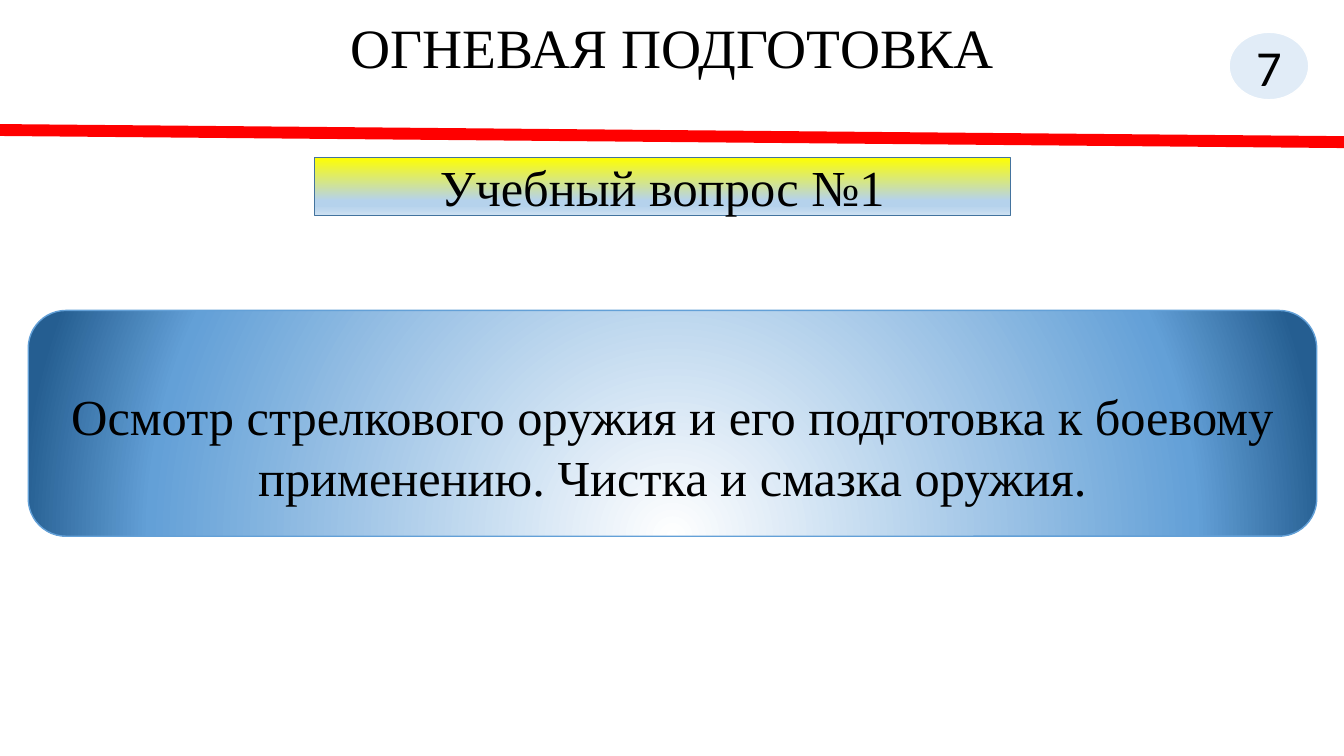
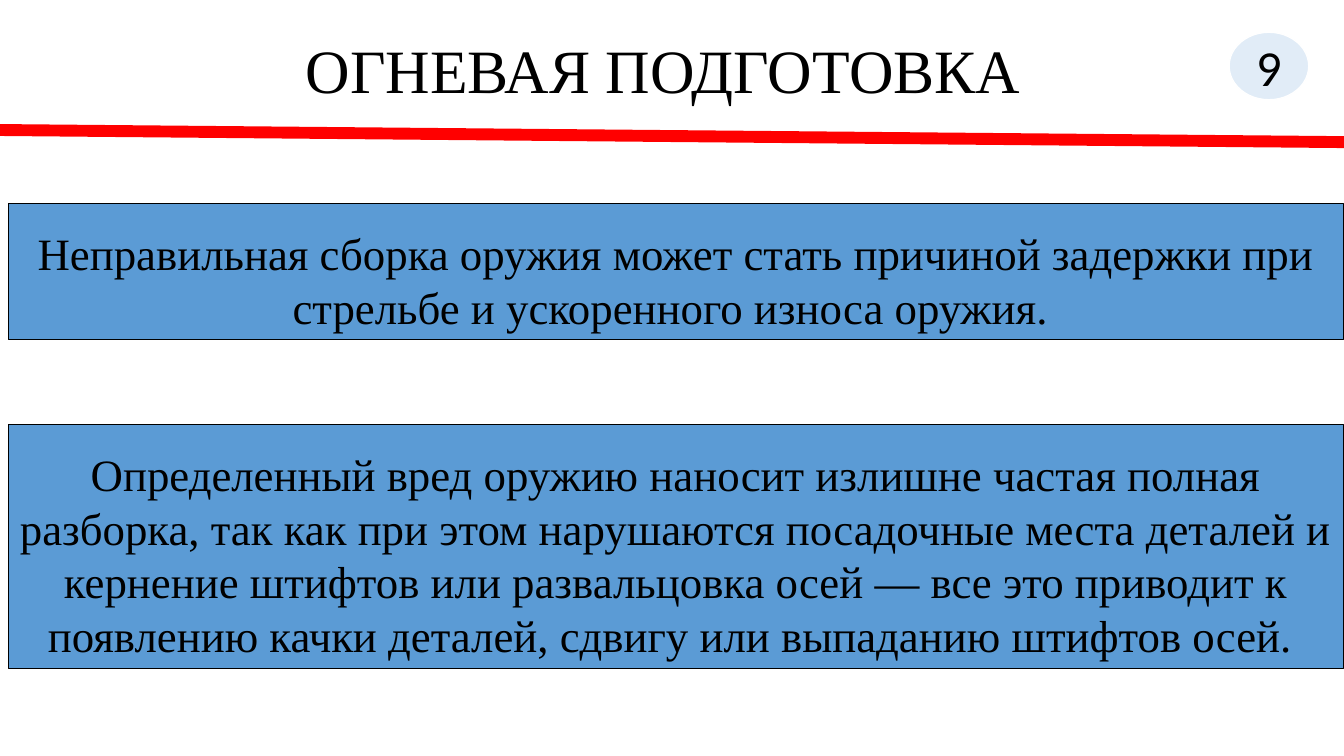
from lxml import etree
from pptx import Presentation
from pptx.dml.color import RGBColor
from pptx.enum.shapes import MSO_CONNECTOR, MSO_SHAPE
from pptx.enum.text import MSO_ANCHOR, MSO_AUTO_SIZE, PP_ALIGN
from pptx.oxml.ns import qn
from pptx.util import Inches, Pt

BLACK = RGBColor(0x00, 0x00, 0x00)
WHITE = RGBColor(0xFF, 0xFF, 0xFF)
RED = RGBColor(0xFF, 0x00, 0x00)
BLUE = RGBColor(0x5B, 0x9B, 0xD5)
STEEL = RGBColor(0x43, 0x73, 0x9E)
SKY = RGBColor(0x63, 0xA0, 0xD7)
PALE = RGBColor(0xB5, 0xD2, 0xEC)
MIST = RGBColor(0xCE, 0xE1, 0xF2)
NAVY = RGBColor(0x25, 0x5E, 0x91)
YELLOW = RGBColor(0xFF, 0xFF, 0x00)
SERIF, SANS = "Times New Roman", "Calibri"

TITLE = "ОГНЕВАЯ ПОДГОТОВКА"
TOPIC = "Учебный вопрос №1"
TASK = ("Осмотр стрелкового оружия и его подготовка к боевому применению. "
        "Чистка и смазка оружия.")
# top, height, text
NOTES = [
    (2.02, 1.35, "Неправильная сборка оружия может стать причиной задержки "
                 "при стрельбе и ускоренного износа оружия. "),
    (4.21, 2.42, "Определенный вред оружию наносит излишне частая полная "
                 "разборка, так как при этом нарушаются посадочные места "
                 "деталей и кернение штифтов или развальцовка осей — все это "
                 "приводит к появлению качки деталей, сдвигу или выпаданию "
                 "штифтов осей. "),
]
BANNER = [(0, YELLOW), (74, PALE), (83, PALE), (100, MIST)]
GLOW = [(0, WHITE), (80, SKY), (100, NAVY)]


def write(frame, text, size, font=SERIF, top=0.05, anchor=MSO_ANCHOR.MIDDLE):
    frame.text = text
    frame.word_wrap = True
    frame.auto_size = MSO_AUTO_SIZE.NONE
    frame.vertical_anchor = anchor
    frame.margin_top = Inches(top)
    para = frame.paragraphs[0]
    para.alignment = PP_ALIGN.CENTER
    for run in para.runs:
        run.font.size = Pt(size)
        run.font.name = font
        run.font.color.rgb = BLACK


def add_box(slide, kind, place, fill, edge, width=1):
    box = slide.shapes.add_shape(kind, *map(Inches, place))
    box.shadow.inherit = False
    box.fill.solid()
    box.fill.fore_color.rgb = fill
    box.line.color.rgb = edge
    box.line.width = Pt(width)
    return box


def shade(box, stops, kind, rect=None, **attrs):
    """Give the box a gradient; kind is 'lin' or 'path'."""
    box.fill.gradient()
    grad = box.element.spPr.find(qn("a:gradFill"))
    for part in list(grad):
        grad.remove(part)
    rows = etree.SubElement(grad, qn("a:gsLst"))
    for pos, color in stops:
        stop = etree.SubElement(rows, qn("a:gs"), pos=str(pos * 1000))
        etree.SubElement(stop, qn("a:srgbClr"), val=str(color))
    shape = etree.SubElement(grad, qn(f"a:{kind}"), **attrs)
    if rect:
        sides = {side: str(pct * 1000) for side, pct in zip("ltrb", rect)}
        etree.SubElement(shape, qn("a:fillToRect"), **sides)


def add_slide(deck, number, left, height, size):
    """Add a slide with the shared title, red rule and number badge."""
    slide = deck.slides.add_slide(deck.slide_layouts[5])
    title = slide.shapes.title
    title.left, title.top = Inches(left), Inches(0)
    title.width, title.height = Inches(11.5), Inches(height)
    write(title.text_frame, TITLE, size)
    title.text_frame.paragraphs[0].line_spacing = 0.9

    rule = slide.shapes.add_connector(
        MSO_CONNECTOR.STRAIGHT, 0, Inches(1.29), deck.slide_width, Inches(1.41))
    rule.line.color.rgb = RED
    rule.line.width = Pt(8.5)
    etree.SubElement(rule.element.spPr, qn("a:effectLst"))

    badge = add_box(slide, MSO_SHAPE.OVAL, (12.19, 0.32, 0.79, 0.67), BLUE, WHITE)
    tint = badge.element.spPr.find(qn("a:solidFill"))[0]
    etree.SubElement(tint, qn("a:alpha"), val="18000")
    write(badge.text_frame, number, 36, SANS)
    return slide


def main():
    deck = Presentation()
    deck.slide_width, deck.slide_height = Inches(13.33), Inches(7.5)

    slide = add_slide(deck, "7", 0.92, 1.01, 39.6)
    topic = add_box(slide, MSO_SHAPE.RECTANGLE, (3.12, 1.56, 6.9, 0.58), PALE, STEEL)
    shade(topic, BANNER, "lin", ang="5400000", scaled="0")
    write(topic.text_frame, TOPIC, 36)
    task = add_box(slide, MSO_SHAPE.ROUNDED_RECTANGLE,
                   (0.28, 3.08, 12.78, 2.24), SKY, SKY)
    shade(task, GLOW, "path", (50, 130, 50, -30), path="circle")
    write(task.text_frame, TASK, 36, top=0.5)

    slide = add_slide(deck, "9", 0.83, 1.45, 44)
    for top, height, text in NOTES:
        note = add_box(slide, MSO_SHAPE.RECTANGLE, (0.08, top, 13.25, height),
                       BLUE, BLACK, 0.75)
        write(note.text_frame, text, 32, top=0.22, anchor=MSO_ANCHOR.TOP)

    deck.save("out.pptx")


if __name__ == "__main__":
    main()
